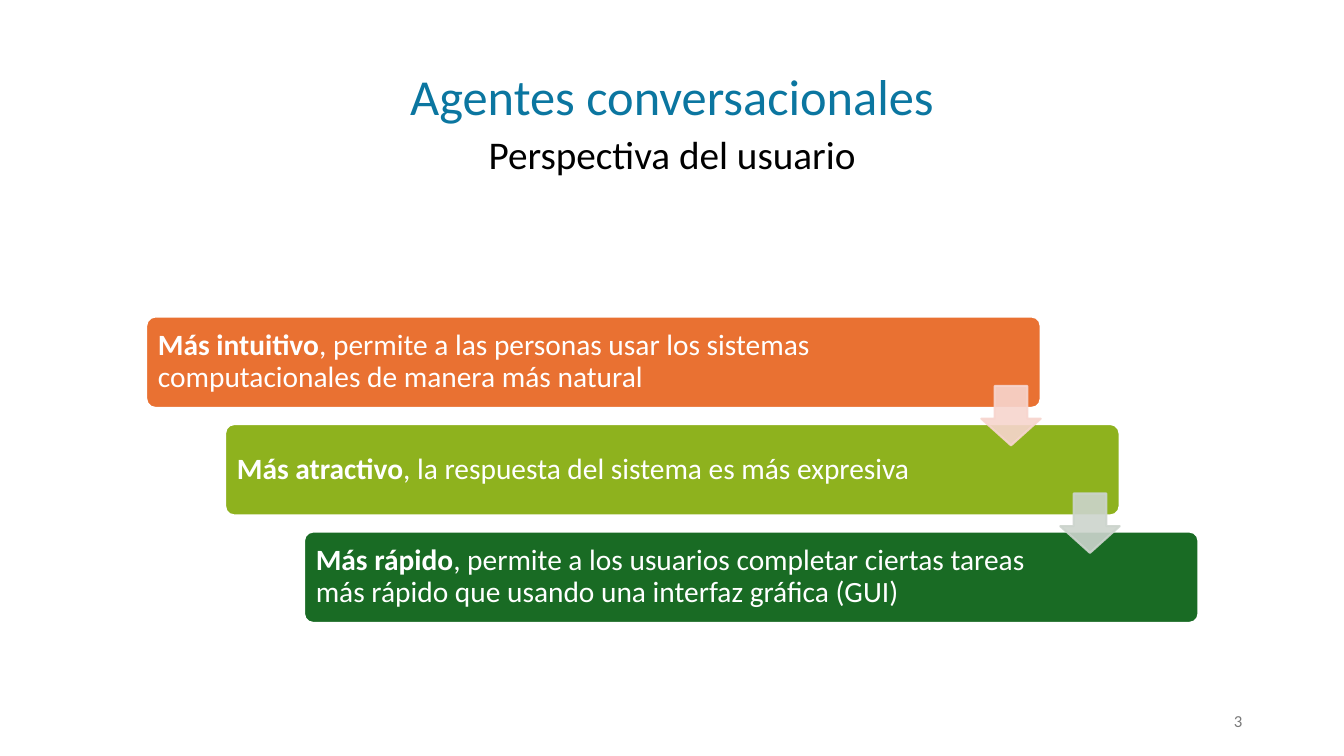
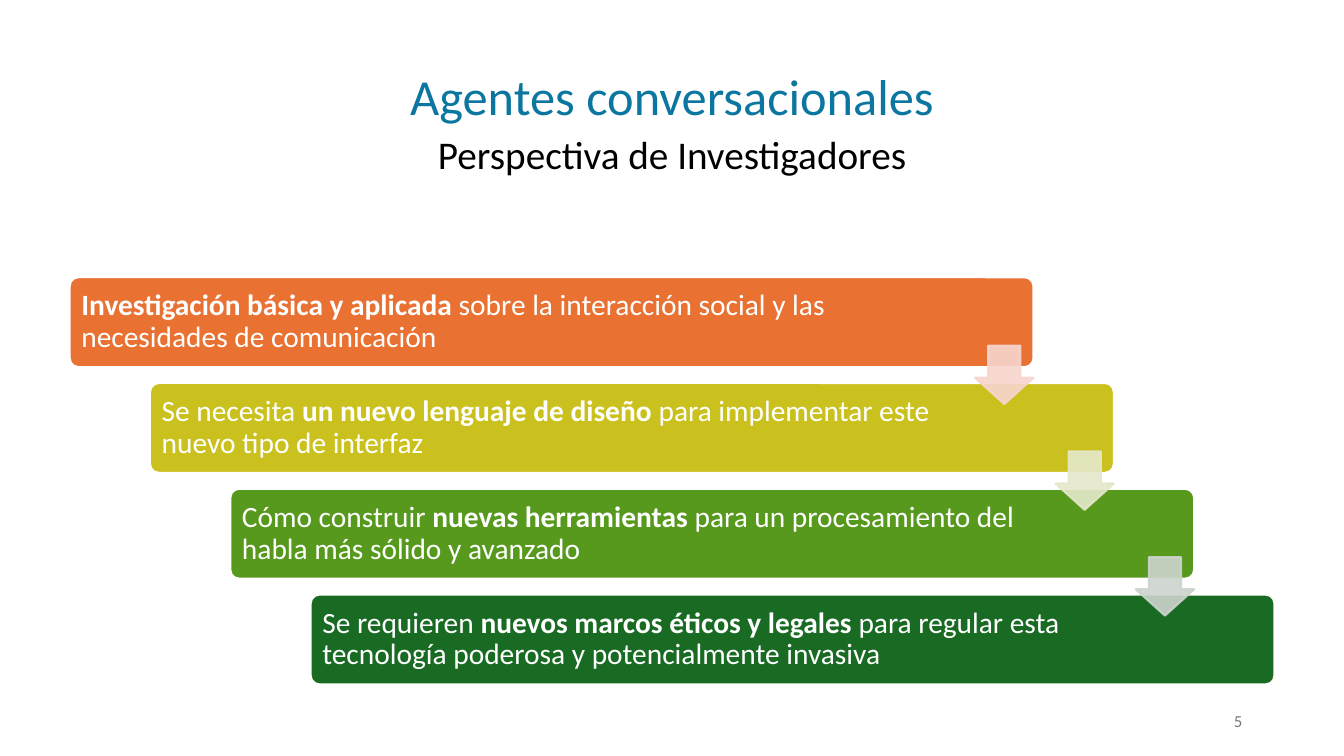
from lxml.etree import SubElement
from pptx import Presentation
from pptx.dml.color import RGBColor
from pptx.enum.shapes import MSO_SHAPE as Shape
from pptx.enum.text import MSO_ANCHOR as Anchor, MSO_AUTO_SIZE as AutoSize, PP_ALIGN as Align
from pptx.oxml.ns import qn
from pptx.util import Inches, Pt

COLORS = {
    "title": "0B76A0", "subtitle": "000000", "number": "797979", "white": "FFFFFF",
    "orange": "E97132", "yellow": "CBC11E", "lime": "8EB21E", "green": "56991D", "forest": "196B24",
    "pale_orange": "F7D5CE", "pale_yellow": "E5E8CA", "pale_green": "CCD4CD",
}
FONT = "Calibri"
WIDTH, HEIGHT = Inches(13.33), Inches(7.5)
COLUMN, ROW = WIDTH / 100, HEIGHT / 100
TITLE_BOX = (0.08, 5.07, 99.85, 22.93)
NUMBER_BOX = (70.67, 92.67, 22.5, 5.33)
TITLE = "Agentes conversacionales"

SLIDES = [
    {
        "number": "3",
        "subtitle": "Perspectiva del usuario",
        "box": (10.88, 41.87, 78.3, 40.53),
        "steps": [
            ("orange", ["", "Más intuitivo",
                        ", permite a las personas usar los sistemas computacionales de manera más natural"]),
            ("lime", ["", "Más atractivo", ", la respuesta del sistema es más expresiva"]),
            ("forest", ["", "Más rápido",
                        ", permite a los usuarios completar ciertas tareas más rápido que usando "
                        "una interfaz gráfica (GUI)"]),
        ],
        "arrows": ["pale_orange", "pale_green"],
    },
    {
        "number": "5",
        "subtitle": "Perspectiva de Investigadores",
        "box": (5.18, 36.67, 89.65, 53.87),
        "steps": [
            ("orange", ["", "Investigación básica y aplicada",
                        " sobre la interacción social y las necesidades de comunicación"]),
            ("yellow", ["Se necesita ", "un nuevo lenguaje de diseño",
                        " para implementar este nuevo tipo de interfaz"]),
            ("green", ["Cómo construir ", "nuevas herramientas",
                       " para un procesamiento del habla más sólido y avanzado"]),
            ("forest", ["Se requieren ", "nuevos marcos éticos y legales",
                        " para regular esta tecnología poderosa y potencialmente invasiva"]),
        ],
        "arrows": ["pale_orange", "pale_yellow", "pale_green"],
    },
]


def rgb(name):
    return RGBColor.from_string(COLORS[name])


def place(box):
    left, top, width, height = box
    return [int(v) for v in (left * COLUMN, top * ROW, width * COLUMN, height * ROW)]


def style(paragraph, size, color, align, spacing=None):
    paragraph.font.name = FONT
    paragraph.font.size = Pt(size)
    paragraph.font.color.rgb = rgb(color)
    paragraph.alignment = align
    paragraph.line_spacing = spacing


def add_heading(slide, subtitle):
    heading = slide.shapes.title
    heading.left, heading.top, heading.width, heading.height = place(TITLE_BOX)
    frame = heading.text_frame
    frame.text = f"{TITLE}\n{subtitle}"
    frame.auto_size = AutoSize.NONE
    frame.vertical_anchor = Anchor.MIDDLE
    for line, size, color in zip(frame.paragraphs, (36, 28), ("title", "subtitle")):
        style(line, size, color, Align.CENTER, 0.9)
        line.space_before, line.space_after = Pt(0), Pt(6)


def add_number(slide, number):
    frame = slide.shapes.add_textbox(*place(NUMBER_BOX)).text_frame
    frame.word_wrap = True
    frame.vertical_anchor = Anchor.MIDDLE
    frame.text = number
    style(frame.paragraphs[0], 12, "number", Align.RIGHT)


def add_filled(slide, kind, box, fill, line, adjustments):
    item = slide.shapes.add_shape(kind, *[int(v) for v in box])
    item.shadow.inherit = False
    item.fill.solid()
    item.fill.fore_color.rgb = rgb(fill)
    item.line.color.rgb = rgb(line)
    item.line.width = Pt(1.5)
    for i, value in enumerate(adjustments):
        item.adjustments[i] = value
    return item


def add_bar(slide, box, color, parts):
    bar = add_filled(slide, Shape.ROUNDED_RECTANGLE, box, color, "white", [0.1])
    frame = bar.text_frame
    frame.word_wrap = True
    frame.vertical_anchor = Anchor.MIDDLE
    frame.margin_left = frame.margin_top = frame.margin_bottom = Inches(0.09)
    frame.margin_right = Inches(1.46)
    sentence = frame.paragraphs[0]
    style(sentence, 21, "white", Align.LEFT, 0.9)
    for part, bold in zip(parts, (False, True, False)):
        if part:
            run = sentence.add_run()
            run.text = part
            run.font.bold = bold


def add_arrow(slide, box, color):
    arrow = add_filled(slide, Shape.DOWN_ARROW, box, color, color, [0.55, 0.45])
    for tint in arrow._element.spPr.iter(qn("a:srgbClr")):
        SubElement(tint, qn("a:alpha"), val="90000")


def add_staircase(slide, box, steps, arrows):
    left, top, width, height = place(box)
    count = len(steps)
    pitch = height / (count - 0.15)
    bar_height = 0.85 * pitch
    bar_width = width * (1 - 0.05 * count)
    shift = (width - bar_width) / (count - 1)
    arrow_size = 0.65 * bar_height
    for i, (color, parts) in enumerate(steps):
        add_bar(slide, (left + i * shift, top + i * pitch, bar_width, bar_height), color, parts)
    for i, color in enumerate(arrows):
        arrow_left = left + i * shift + bar_width - arrow_size
        arrow_top = top + i * pitch + 0.76 * bar_height
        add_arrow(slide, (arrow_left, arrow_top, arrow_size, arrow_size), color)


def add_perspective(deck, content):
    slide = deck.slides.add_slide(deck.slide_layouts[5])
    add_number(slide, content["number"])
    add_heading(slide, content["subtitle"])
    add_staircase(slide, content["box"], content["steps"], content["arrows"])


def main():
    deck = Presentation()
    deck.slide_width, deck.slide_height = WIDTH, HEIGHT
    for content in SLIDES:
        add_perspective(deck, content)
    deck.save("out.pptx")


if __name__ == "__main__":
    main()
